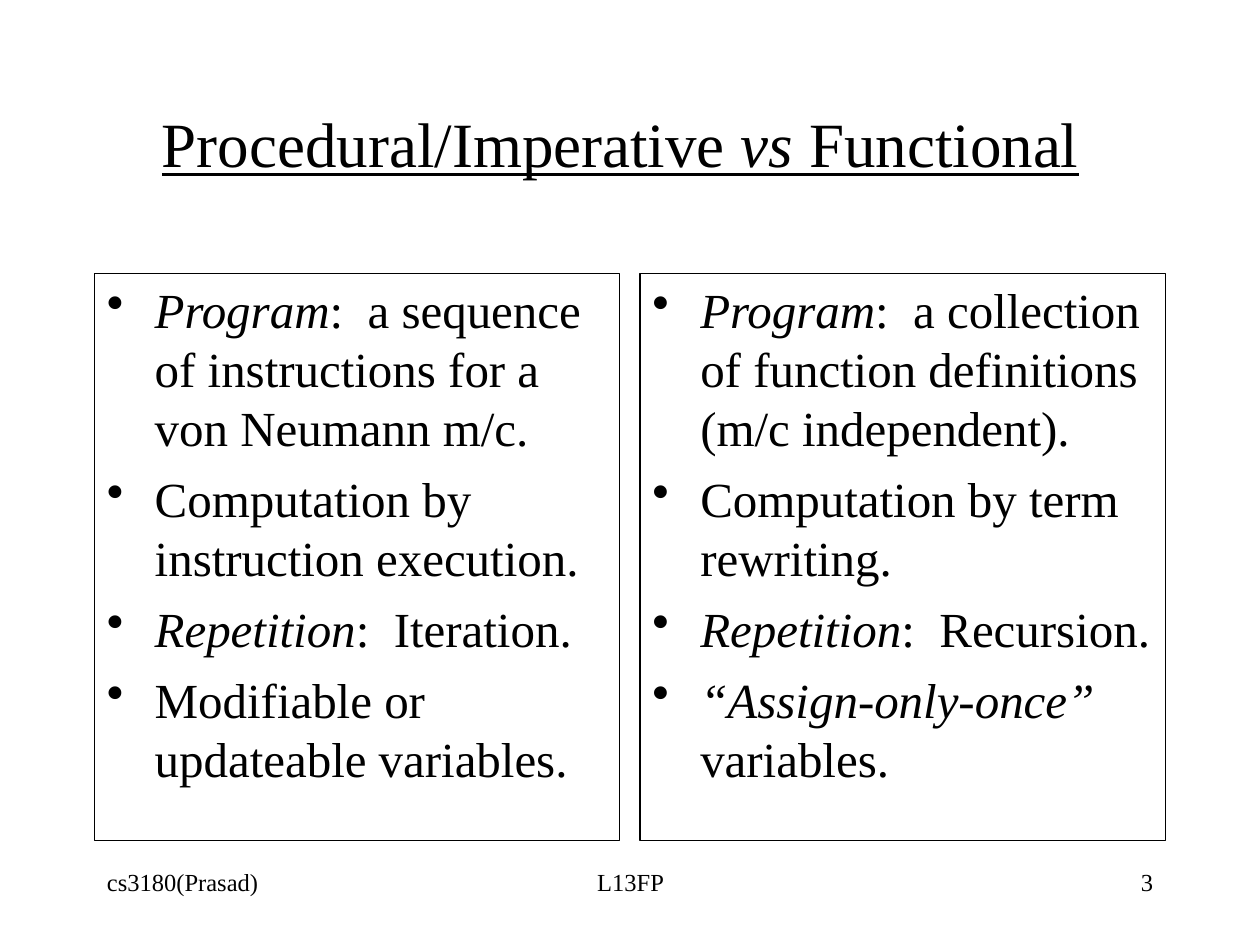
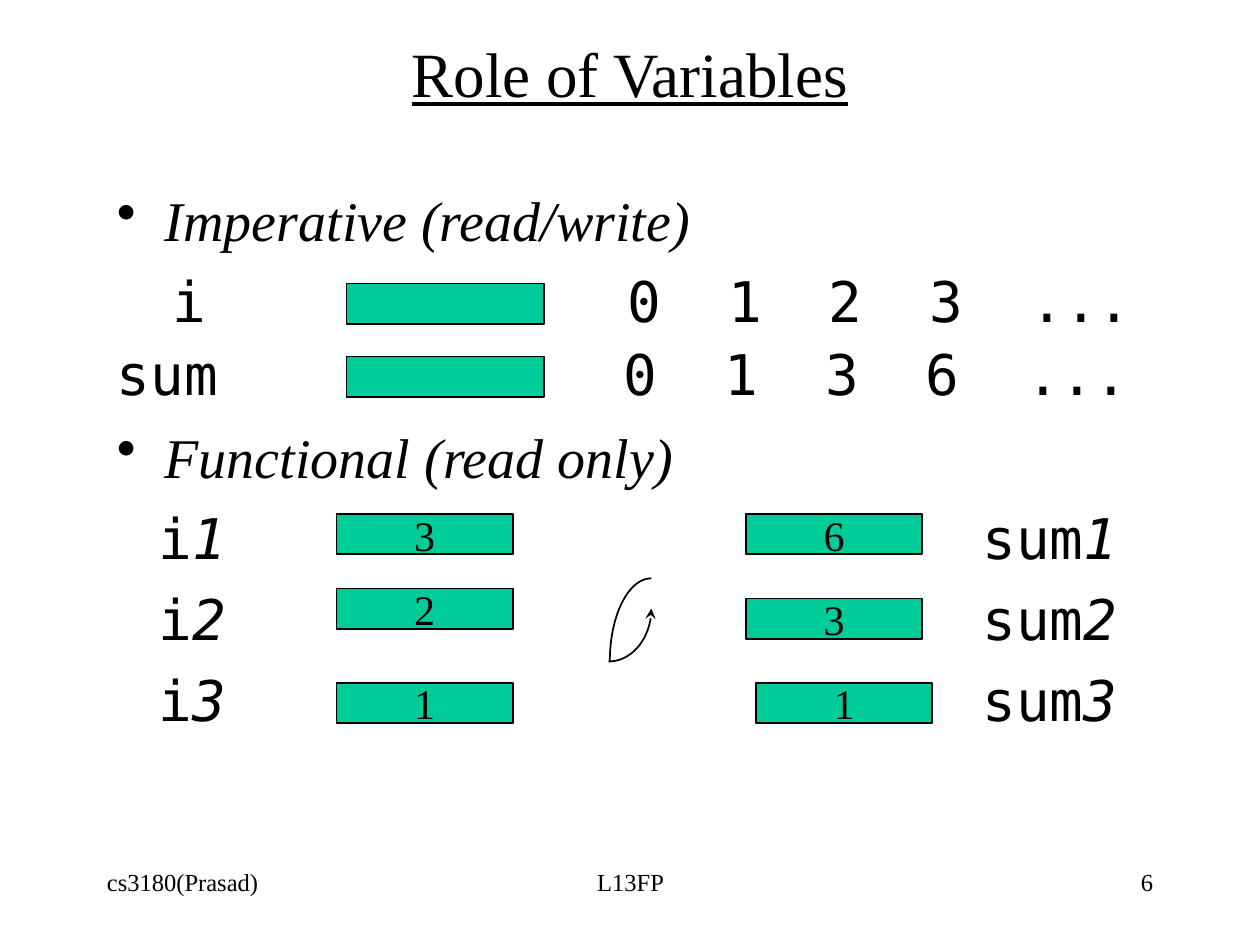
from dataclasses import dataclass
from math import cos, pi, sin

from lxml import etree
from pptx import Presentation
from pptx.dml.color import RGBColor
from pptx.enum.shapes import MSO_SHAPE
from pptx.enum.text import MSO_ANCHOR, PP_ALIGN
from pptx.oxml.ns import qn
from pptx.util import Inches, Pt

RECTANGLE = MSO_SHAPE.RECTANGLE
TOP, MIDDLE, BOTTOM = MSO_ANCHOR.TOP, MSO_ANCHOR.MIDDLE, MSO_ANCHOR.BOTTOM
LEFT, CENTER, RIGHT = PP_ALIGN.LEFT, PP_ALIGN.CENTER, PP_ALIGN.RIGHT


@dataclass(frozen=True)
class Theme:
    ink: RGBColor = RGBColor(0x00, 0x00, 0x00)
    cell: RGBColor = RGBColor(0x00, 0xCC, 0x99)
    serif: str = "Times New Roman"
    mono: str = "DejaVu Sans Mono"
    title: int = 36
    title_tail: int = 44
    body: int = 32
    column: int = 28
    value: int = 24
    footer: int = 14


class Deck:
    """Holds the theme and the slide being drawn."""

    def __init__(self):
        self.theme = Theme()
        self.presentation = Presentation()
        self.presentation.slide_width = Inches(10)
        self.presentation.slide_height = Inches(7.5)
        self.slide = None

    def new_slide(self, number):
        layout = self.presentation.slide_layouts[6]
        self.slide = self.presentation.slides.add_slide(layout)
        footers = (
            (0.75, 2.08, "cs3180(Prasad)", LEFT),
            (3.42, 3.17, "L13FP", CENTER),
            (7.17, 2.08, str(number), RIGHT),
        )
        for left, width, text, align in footers:
            frame = self.text_box(left, 6.83, width, 0.5)
            self.add_text(frame.paragraphs[0], text, self.theme.footer, align=align)

    def text_box(self, left, top, width, height, anchor=TOP):
        shape = self.slide.shapes.add_textbox(
            Inches(left), Inches(top), Inches(width), Inches(height))
        shape.text_frame.word_wrap = True
        shape.text_frame.vertical_anchor = anchor
        return shape.text_frame

    def add_text(self, paragraph, text, size, font=None, align=LEFT):
        """Add text to a paragraph; the parts between asterisks are italic."""
        paragraph.alignment = align
        for index, part in enumerate(text.split("*")):
            if part:
                run = paragraph.add_run()
                run.text = part
                run.font.size = Pt(size)
                run.font.name = font or self.theme.serif
                run.font.color.rgb = self.theme.ink
                run.font.italic = index % 2 == 1

    def title(self, text, top, height, wide_tail=False):
        frame = self.text_box(0.75, top, 8.5, height, BOTTOM)
        paragraph = frame.paragraphs[0]
        self.add_text(paragraph, text, self.theme.title, align=CENTER)
        for run in paragraph.runs:
            run.font.underline = True
        if wide_tail:
            self.add_text(paragraph, " ", self.theme.title_tail, align=CENTER)

    def next_paragraph(self, frame, space):
        first = frame.paragraphs[0]
        paragraph = frame.add_paragraph() if first.runs else first
        paragraph.space_before = Pt(space)
        return paragraph

    def bullet(self, frame, text, size, space):
        paragraph = self.next_paragraph(frame, space)
        self.add_text(paragraph, text, size)
        properties = paragraph._p.get_or_add_pPr()
        properties.set("marL", str(Inches(0.38)))
        properties.set("indent", str(-Inches(0.38)))
        color = etree.SubElement(properties, qn("a:buClr"))
        etree.SubElement(color, qn("a:srgbClr"), val=str(self.theme.ink))
        etree.SubElement(properties, qn("a:buChar"), char="•")

    def code_row(self, frame, text, stops, line_spacing=None):
        """Add a line of code whose tabs jump to the given stops."""
        paragraph = self.next_paragraph(frame, 8)
        if line_spacing:
            paragraph.line_spacing = line_spacing
        self.add_text(paragraph, text, self.theme.body, self.theme.mono)
        tabs = etree.SubElement(paragraph._p.get_or_add_pPr(), qn("a:tabLst"))
        for stop in stops:
            etree.SubElement(tabs, qn("a:tab"), pos=str(Inches(stop)), algn="l")

    def rectangle(self, left, top, width, height, line_width, fill=None):
        shape = self.slide.shapes.add_shape(
            RECTANGLE, Inches(left), Inches(top), Inches(width), Inches(height))
        shape.shadow.inherit = False
        shape.line.color.rgb = self.theme.ink
        shape.line.width = Pt(line_width)
        if fill is None:
            shape.fill.background()
        else:
            shape.fill.solid()
            shape.fill.fore_color.rgb = fill
        return shape.text_frame

    def column(self, left, items):
        frame = self.rectangle(left, 2.17, 4.17, 4.5, 0.75)
        frame.word_wrap = True
        frame.vertical_anchor = TOP
        for item in items:
            self.bullet(frame, item, self.theme.column, 7)

    def memory_cell(self, left, top, width, value=""):
        frame = self.rectangle(left, top, width, 0.32, 1, self.theme.cell)
        frame.word_wrap = False
        frame.vertical_anchor = MIDDLE
        self.add_text(frame.paragraphs[0], value, self.theme.value, align=CENTER)

    def quarter_arc(self, center, radii, start, arrow=False, steps=32):
        """Draw a quarter ellipse clockwise from the start angle."""
        points = []
        for step in range(steps + 1):
            angle = start + pi / 2 * step / steps
            points.append((Inches(center[0] + radii[0] * cos(angle)),
                           Inches(center[1] + radii[1] * sin(angle))))
        builder = self.slide.shapes.build_freeform(*points[0])
        builder.add_line_segments(points[1:], close=False)
        shape = builder.convert_to_shape()
        shape.shadow.inherit = False
        shape.fill.background()
        shape.line.color.rgb = self.theme.ink
        shape.line.width = Pt(1)
        if arrow:
            line = shape.line._get_or_add_ln()
            etree.SubElement(line, qn("a:headEnd"), type="stealth")


def draw_comparison(deck):
    deck.new_slide(3)
    deck.title("Procedural/Imperative *vs* Functional", 0.67, 0.83, wide_tail=True)
    deck.column(0.75, (
        "*Program*:  a sequence of instructions for a von Neumann m/c.",
        "Computation by instruction execution.",
        "*Repetition*:  Iteration.",
        "Modifiable or updateable variables.",
    ))
    deck.column(5.08, (
        "*Program*:  a collection of function definitions (m/c independent).",
        "Computation by term rewriting.",
        "*Repetition*:  Recursion.",
        "*“Assign-only-once” *variables.",
    ))


def draw_variables(deck):
    deck.new_slide(6)
    deck.title("Role of Variables", 0.25, 0.67)
    frame = deck.text_box(0.83, 1.42, 8.5, 4.5)

    # Imperative: one cell per variable, values over time
    deck.bullet(frame, "*Imperative (read/write)*", deck.theme.body, 8)
    steps = [0.8 * index for index in range(5)]
    deck.code_row(frame, "\ti\t0\t1\t2\t3\t...",
                  [0.44] + [4.05 + step for step in steps])
    deck.code_row(frame, "sum\t0\t1\t3\t6\t...",
                  [4.02 + step for step in steps], 0.9)
    for top in (2.25, 2.83):
        deck.memory_cell(2.75, top, 1.57)

    # Functional: a fresh cell for every value
    deck.bullet(frame, "*Functional (read only)*", deck.theme.body, 8)
    for number in (1, 2, 3):
        deck.code_row(frame, f"\ti*{number}*\tsum*{number}*", (0.33, 6.87))
    for left, top, value in (
        (2.67, 4.08, "3"), (2.67, 4.67, "2"), (2.67, 5.42, "1"),
        (5.92, 4.08, "6"), (5.92, 4.75, "3"), (6, 5.42, "1"),
    ):
        deck.memory_cell(left, top, 1.4, value)

    # Recursion loop
    deck.quarter_arc((5.17, 5.25), (0.33, 0.66), pi)
    deck.quarter_arc((4.83, 4.83), (0.34, 0.42), 0, arrow=True)


def main():
    deck = Deck()
    draw_comparison(deck)
    draw_variables(deck)
    deck.presentation.save("out.pptx")


if __name__ == "__main__":
    main()
